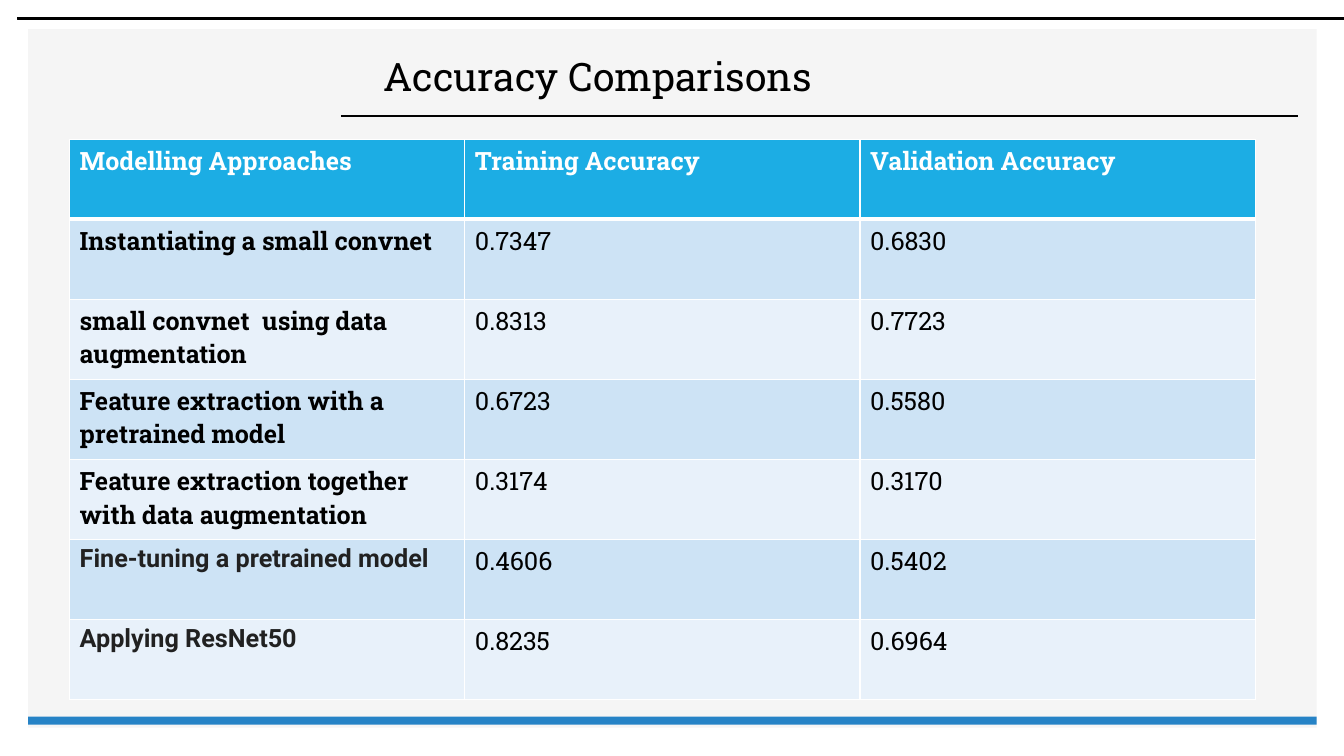
from dataclasses import dataclass

from lxml import etree
from pptx import Presentation
from pptx import util as u
from pptx.dml.color import RGBColor
from pptx.enum import shapes, text
from pptx.oxml.ns import qn

SLIDE_W, SLIDE_H = u.Inches(13.33), u.Inches(7.5)
SLAB, SANS = "Roboto Slab", "Roboto"
BLACK, WHITE, CHARCOAL = "000000", "FFFFFF", "212121"
PANEL, ACCENT, HEADER = "F5F5F5", "2683C6", "1CADE4"
BANDS = ("CDE3F5", "E8F1FA")


@dataclass(frozen=True)
class Box:
    """A rectangle in percent of the slide's width and height."""
    x: float
    y: float
    w: float
    h: float

    def emu(self) -> tuple[int, int, int, int]:
        return across(self.x), down(self.y), across(self.w), down(self.h)


@dataclass(frozen=True)
class Bar:
    box: Box
    fill: str
    outline: float = 0


@dataclass(frozen=True)
class Result:
    approach: str
    training: str
    validation: str
    font: str = SLAB
    color: str = BLACK


PANEL_BARS = [
    Bar(Box(2.1, 3.87, 95.87, 92.4), PANEL),
    Bar(Box(2.1, 94.8, 95.87, 1.07), ACCENT),
]
TOP_BAR = Bar(Box(1.28, 2.27, 100, 0.27), BLACK, 0.75)
TITLE_BOX = Box(27.76, 5.6, 68.79, 9.73)
TABLE_BOX = Box(5.18, 18.4, 88.22, 74.13)

HEADINGS = ("Modelling Approaches", "Training Accuracy", "Validation Accuracy")
RESULTS = [
    Result("Instantiating a small convnet", "0.7347", "0.6830"),
    Result("small convnet  using data augmentation", "0.8313", "0.7723"),
    Result("Feature extraction with a pretrained model", "0.6723", "0.5580"),
    Result("Feature extraction together with data augmentation", "0.3174", "0.3170"),
    Result("Fine-tuning a pretrained model", "0.4606", "0.5402", SANS, CHARCOAL),
    Result("Applying ResNet50", "0.8235", "0.6964", SANS, CHARCOAL),
]


def across(percent: float) -> int:
    return round(SLIDE_W * percent / 100)


def down(percent: float) -> int:
    return round(SLIDE_H * percent / 100)


def paint(target, color: str) -> None:
    """Make a fill, or a line's fill, solid in the given colour."""
    target.solid()
    target.fore_color.rgb = RGBColor.from_string(color)


def style_runs(p, font: str, size: float, color: str, bold: bool = False) -> None:
    for r in p.runs:
        r.font.name, r.font.size, r.font.bold = font, u.Pt(size), bold
        r.font.color.rgb = RGBColor.from_string(color)


def add_bar(s, bar: Bar):
    sp = s.shapes.add_shape(shapes.MSO_SHAPE.RECTANGLE, *bar.box.emu())
    sp.shadow.inherit = False
    paint(sp.fill, bar.fill)
    if bar.outline:
        paint(sp.line.fill, bar.fill)
        sp.line.width = u.Pt(bar.outline)
    else:
        sp.line.fill.background()
    return sp


def add_rule(s, x1: float, x2: float, y: float):
    line = s.shapes.add_connector(shapes.MSO_CONNECTOR.STRAIGHT,
                                  across(x1), down(y), across(x2), down(y))
    paint(line.line.fill, BLACK)
    line.line.width = u.Pt(1)
    etree.SubElement(line.element.spPr, qn("a:effectLst"))
    return line


def fill_title(title, wording: str) -> None:
    title.left, title.top, title.width, title.height = TITLE_BOX.emu()
    tf = title.text_frame
    tf.text = wording
    tf.word_wrap = True
    tf.auto_size = text.MSO_AUTO_SIZE.NONE
    tf.vertical_anchor = text.MSO_ANCHOR.MIDDLE
    p = tf.paragraphs[0]
    p.alignment = text.PP_ALIGN.LEFT
    p.line_spacing = 0.9
    style_runs(p, SLAB, 28, BLACK)


def border_cell(cell, top: float, bottom: float) -> None:
    """Draw white borders; must run before the cell's fill is set."""
    tc_pr = cell._tc.get_or_add_tcPr()
    for side, width in (("L", 1), ("R", 1), ("T", top), ("B", bottom)):
        ln = etree.SubElement(tc_pr, qn(f"a:ln{side}"), w=str(u.Pt(width)))
        solid = etree.SubElement(ln, qn("a:solidFill"))
        etree.SubElement(solid, qn("a:srgbClr"), val=WHITE)


def fill_cell(cell, wording: str, fill: str, font: str, color: str, bold: bool,
              top: float = 1, bottom: float = 1) -> None:
    border_cell(cell, top, bottom)
    paint(cell.fill, fill)
    cell.text_frame.text = wording
    style_runs(cell.text_frame.paragraphs[0], font, 18, color, bold)


def add_results(s) -> None:
    table = s.shapes.add_table(len(RESULTS) + 1, len(HEADINGS), *TABLE_BOX.emu()).table
    table.horz_banding = False
    for col, heading in enumerate(HEADINGS):
        fill_cell(table.cell(0, col), heading, HEADER, SLAB, WHITE, True, bottom=3)
    for row, result in enumerate(RESULTS, start=1):
        band = BANDS[(row - 1) % 2]
        top = 3 if row == 1 else 1
        fill_cell(table.cell(row, 0), result.approach, band,
                  result.font, result.color, True, top)
        for col, value in enumerate((result.training, result.validation), start=1):
            fill_cell(table.cell(row, col), value, band, SLAB, BLACK, False, top)


def main() -> None:
    prs = Presentation()
    prs.slide_width, prs.slide_height = SLIDE_W, SLIDE_H
    s = prs.slides.add_slide(prs.slide_layouts[5])
    title = s.shapes.title
    fill_title(title, "Accuracy Comparisons")
    backdrop = [add_bar(s, bar) for bar in PANEL_BARS]
    backdrop.append(add_rule(s, 25.36, 96.55, 15.33))
    for sp in backdrop:
        title.element.addprevious(sp.element)
    add_bar(s, TOP_BAR)
    add_results(s)
    prs.save("out.pptx")


if __name__ == "__main__":
    main()
